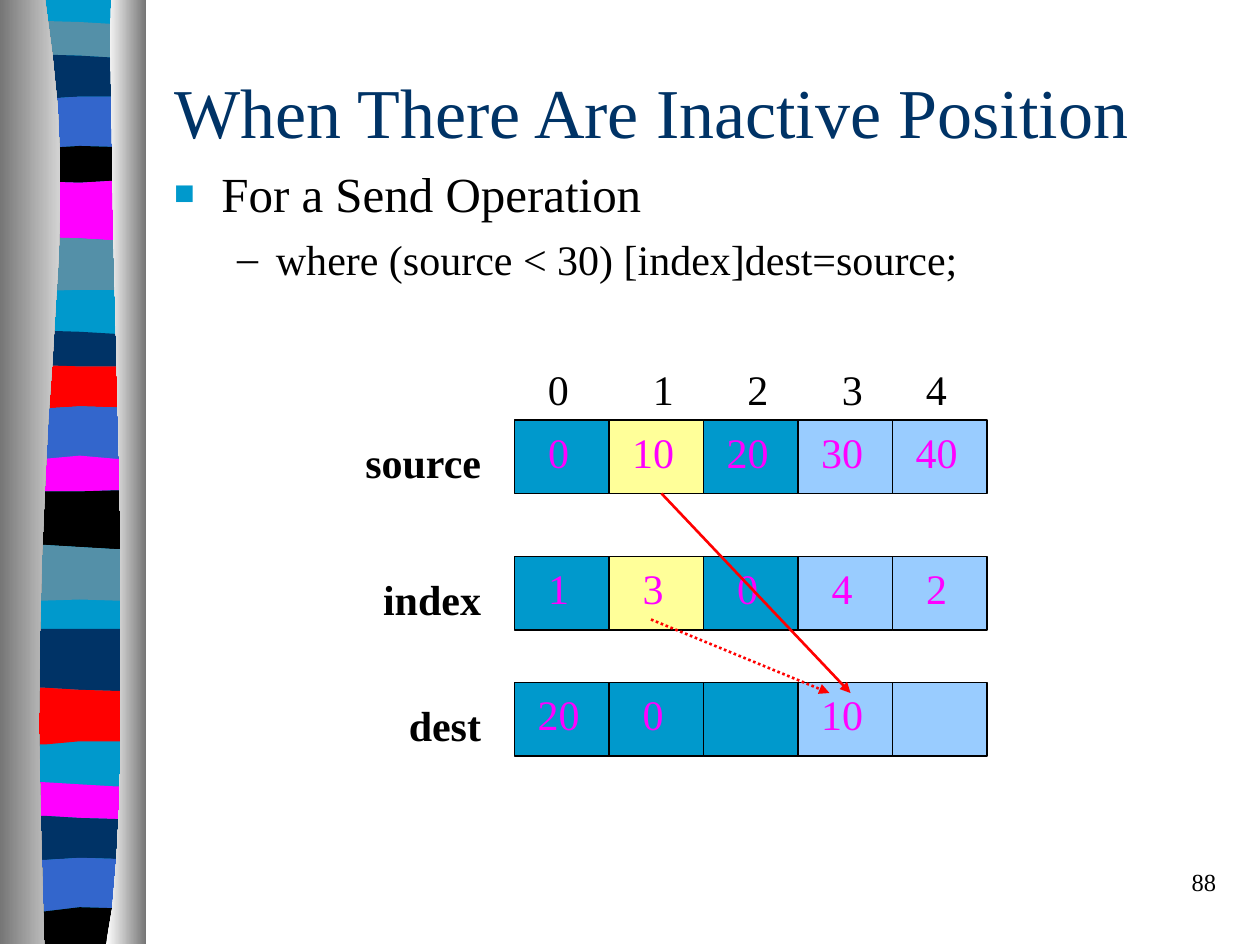
from lxml.etree import SubElement
from pptx import Presentation
from pptx.dml.color import RGBColor
from pptx.enum.dml import MSO_LINE
from pptx.enum.shapes import MSO_CONNECTOR, MSO_SHAPE
from pptx.enum.text import MSO_ANCHOR, MSO_AUTO_SIZE, PP_ALIGN
from pptx.oxml.ns import qn
from pptx.util import Pt

PX = 7620  # EMU per px, 120 px to the inch
FONT = "Times New Roman"
COLORS = {
    "black": "000000", "navy": "003366", "cyan": "0099CC", "steel": "5490A8",
    "blue": "3366CC", "magenta": "FF00FF", "red": "FF0000", "yellow": "FFFF99",
    "pale": "99CCFF", "white": "FFFFFF", "gray": "767676", "silver": "D3D3D3",
}
# Colour of each ribbon band and the height of its top edge at left, middle, right
BANDS = [
    ("steel", 20, 21, 23), ("navy", 52, 53, 55),
    ("blue", 94, 92, 92), ("black", 141, 139, 140), ("magenta", 173, 174, 172),
    ("steel", 226, 227, 229), ("cyan", 277, 276, 276), ("navy", 315, 316, 318),
    ("red", 348, 349, 349), ("blue", 389, 387, 388), ("magenta", 437, 434, 437),
    ("black", 468, 468, 467), ("steel", 519, 521, 523), ("cyan", 572, 571, 572),
    ("navy", 599, 599, 599), ("red", 655, 657, 658), ("cyan", 709, 706, 706),
    ("magenta", 745, 747, 749), ("navy", 777, 779, 780), ("blue", 819, 817, 818),
    ("black", 868, 864, 865),
]
RIBBON_LEFT, RIBBON_RIGHT, RIBBON_BOTTOM = 7, 137, 899
ROWS = [
    ("source", 400, ["0", "10", "20", "30", "40"], 1),
    ("index", 530, ["1", "3", "0", "4", "2"], 1),
    ("dest", 650, ["20", "0", "", "10", ""], None),
]
CELL_FILLS = ["cyan", "cyan", "cyan", "pale", "pale"]
GRID_LEFT, CELL_W, CELL_H = 490, 90, 70


def rgb(name):
    return RGBColor.from_string(COLORS[name])


def box(*lengths):
    return [length * PX for length in lengths]


def style(p, size, color="black", bold=False, align=PP_ALIGN.LEFT):
    p.alignment = align
    for r in p.runs:
        r.font.name, r.font.size, r.font.bold = FONT, Pt(size), bold
        r.font.color.rgb = rgb(color)


def add_text(slide, text, at, size, **look):
    tf = slide.shapes.add_textbox(*box(*at)).text_frame
    tf.word_wrap = True
    tf.text = text
    style(tf.paragraphs[0], size, **look)
    return tf


def bezier(p0, p1, p2, p3, steps=14):
    def at(t):
        u = 1 - t
        return tuple(u**3 * a + 3 * u * u * t * b + 3 * u * t * t * c + t**3 * d
                     for a, b, c, d in zip(p0, p1, p2, p3))
    return [at(i / steps) for i in range(steps + 1)]


def add_outline(slide, points):
    builder = slide.shapes.build_freeform(*points[0], scale=PX)
    builder.add_line_segments(points[1:], close=True)
    sp = builder.convert_to_shape()
    sp.shadow.inherit = False
    sp.line.fill.background()
    return sp


def band_edge(left, middle, right):
    return [(RIBBON_LEFT, left), (43, left), (76, middle),
            (110, right), (RIBBON_RIGHT, right)]


def add_band(slide, color, top, bottom):
    sp = add_outline(slide, band_edge(*top) + band_edge(*bottom)[::-1])
    sp.fill.solid()
    sp.fill.fore_color.rgb = rgb(color)


def add_panel(slide, curve, outer_x, start, end):
    sp = add_outline(slide, bezier(*curve) + [(outer_x, RIBBON_BOTTOM), (outer_x, 0)])
    sp.fill.gradient()
    sp.fill.gradient_angle = 0
    for stop, color in zip(sp.fill.gradient_stops, (start, end)):
        stop.color.rgb = rgb(color)


def add_ribbon(slide):
    """Cyan backing, the other bands on it, and a shaded panel on each side."""
    floor = [RIBBON_BOTTOM] * 3
    add_band(slide, "cyan", [0] * 3, floor)
    bottoms = [top for _, *top in BANDS[1:]] + [floor]
    for (color, *top), bottom in zip(BANDS, bottoms):
        if color != "cyan":
            add_band(slide, color, top, bottom)
    add_panel(slide, [(43, 0), (85, 259), (20, 355), (42, 899)], 0, "gray", "silver")
    add_panel(slide, [(106, 0), (101, 150), (133, 775), (101, 899)], 139, "white", "gray")


def format_title(title, text):
    title.left, title.top, title.width, title.height = box(154, 60, 1020, 90)
    tf = title.text_frame
    tf.text = text
    tf.auto_size = MSO_AUTO_SIZE.NONE
    tf.vertical_anchor = MSO_ANCHOR.MIDDLE
    style(tf.paragraphs[0], 40, "navy")


def add_bullet(p, char, color, percent, left, hang):
    pPr = p._p.get_or_add_pPr()
    pPr.set("marL", str(left * PX))
    pPr.set("indent", str(-hang * PX))
    SubElement(SubElement(pPr, qn("a:buClr")), qn("a:srgbClr"), val=COLORS[color])
    SubElement(pPr, qn("a:buSzPct"), val=str(percent * 1000))
    SubElement(pPr, qn("a:buFont"), typeface=FONT)
    SubElement(pPr, qn("a:buChar"), char=char)


def add_body(slide):
    tf = add_text(slide, "For a Send Operation", (154, 150, 1020, 650), 28)
    add_bullet(tf.paragraphs[0], "■", "cyan", 70, 45, 45)
    p = tf.add_paragraph()
    p.text = "where (source < 30) [index]dest=source;"
    p.level = 1
    p.space_before = Pt(6)
    add_bullet(p, "–", "black", 100, 97, 37)
    style(p, 24)


def add_column_numbers(slide):
    tf = add_text(slide, "\t0\t1\t2\t3\t4", (470, 340, 470, 60), 24)
    tabs = SubElement(tf.paragraphs[0]._p.get_or_add_pPr(), qn("a:tabLst"))
    for center in (50, 150, 240, 330, 410):
        SubElement(tabs, qn("a:tab"), pos=str(center * PX), algn="ctr")


def add_cell(slide, text, left, top, fill):
    sp = slide.shapes.add_shape(MSO_SHAPE.RECTANGLE, *box(left, top, CELL_W, CELL_H))
    sp.shadow.inherit = False
    sp.fill.solid()
    sp.fill.fore_color.rgb = rgb(fill)
    sp.line.color.rgb = rgb("black")
    sp.line.width = Pt(0.75)
    tf = sp.text_frame
    tf.vertical_anchor = MSO_ANCHOR.TOP
    tf.margin_left, tf.margin_right = box(9, 15)
    tf.text = text
    style(tf.paragraphs[0], 24, "magenta", align=PP_ALIGN.CENTER)


def add_row(slide, label, top, values, marked):
    for i, (value, fill) in enumerate(zip(values, CELL_FILLS)):
        add_cell(slide, value, GRID_LEFT + i * CELL_W, top,
                 "yellow" if i == marked else fill)
    add_text(slide, label, (280, top + 10, 190, 60), 24, bold=True, align=PP_ALIGN.RIGHT)


def add_arrow(slide, *ends, dash=None):
    line = slide.shapes.add_connector(MSO_CONNECTOR.STRAIGHT, *box(*ends))
    line.line.color.rgb = rgb("red")
    line.line.width = Pt(1.5)
    if dash:
        line.line.dash_style = dash
    SubElement(line.line._get_or_add_ln(), qn("a:tailEnd"), type="triangle")
    SubElement(line._element.spPr, qn("a:effectLst"))


def main():
    prs = Presentation()
    prs.slide_width, prs.slide_height = box(1200, 900)
    slide = prs.slides.add_slide(prs.slide_layouts[5])
    add_ribbon(slide)
    format_title(slide.shapes.title, "When There Are Inactive Position")
    add_body(slide)
    add_column_numbers(slide)
    for row in ROWS:
        add_row(slide, *row)
    add_arrow(slide, 620, 590, 790, 660, dash=MSO_LINE.ROUND_DOT)
    add_arrow(slide, 630, 470, 810, 660)
    add_text(slide, "88", (920, 820, 250, 60), 14, align=PP_ALIGN.RIGHT)
    prs.save("out.pptx")


if __name__ == "__main__":
    main()
